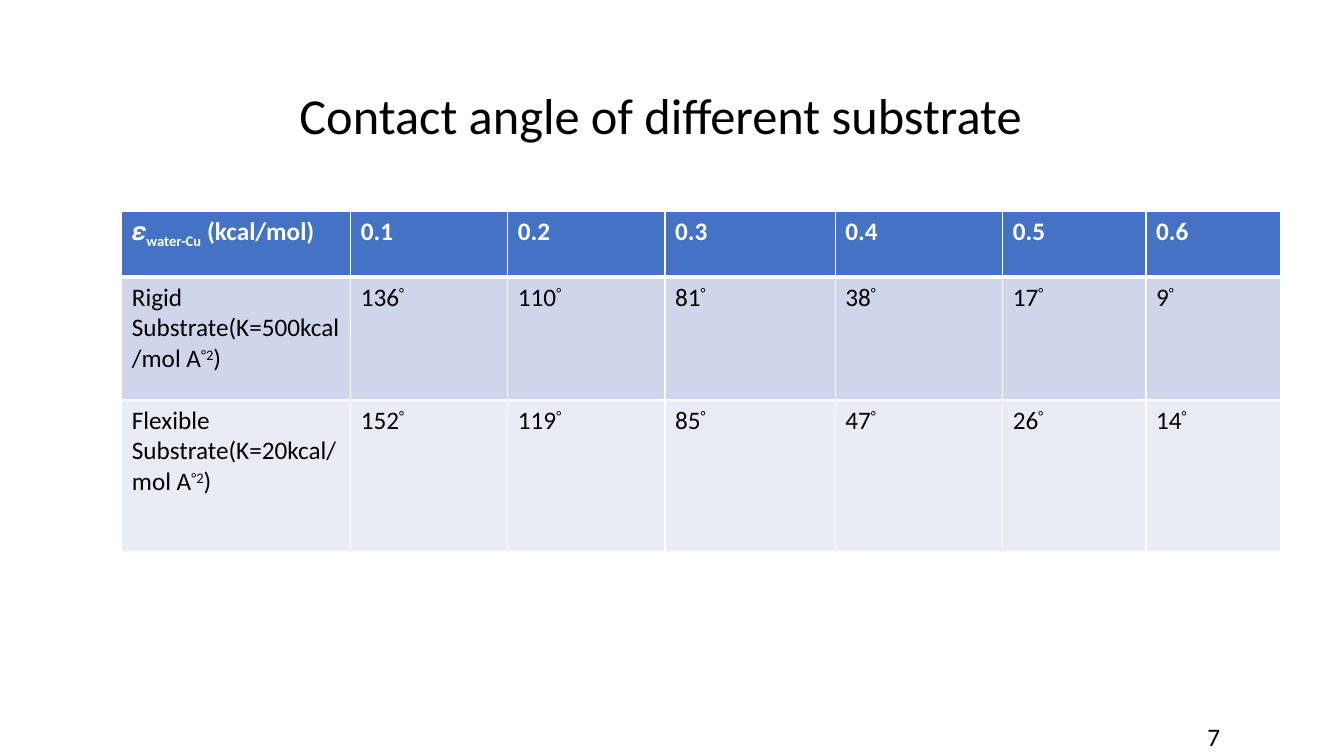
from lxml import etree
from pptx import Presentation
from pptx.dml.color import RGBColor
from pptx.enum.text import MSO_ANCHOR, MSO_AUTO_SIZE, PP_ALIGN
from pptx.oxml.ns import qn
from pptx.util import Cm, Pt

LEFT, TOP, NO_FIT = PP_ALIGN.LEFT, MSO_ANCHOR.TOP, MSO_AUTO_SIZE.NONE
BLACK, WHITE, HEADER_BLUE = "000000", "FFFFFF", "4472C4"
BAND_FILLS = ["CFD5EA", "E9EBF5"]
SUPERSCRIPT, SUBSCRIPT = 30, -25

ENERGIES = ["0.1", "0.2", "0.3", "0.4", "0.5", "0.6"]
SUBSTRATES = [
    ("Rigid Substrate(K=500kcal/mol A", [136, 110, 81, 38, 17, 9]),
    ("Flexible Substrate(K=20kcal/mol A", [152, 119, 85, 47, 26, 14]),
]
COLUMN_WIDTHS = [5.77, 3.96, 3.96, 4.29, 4.22, 3.61, 3.4]
ROW_HEIGHTS = [1.65, 3.1, 3.81]


def rgb(value):
    return RGBColor.from_string(value)


class SlideBuilder:
    font_name = "Calibri"

    def __init__(self, slide):
        self.slide = slide

    def style(self, run, size=18, color=BLACK, bold=False):
        run.font.name = self.font_name
        run.font.size = Pt(size)
        run.font.bold = bold
        run.font.color.rgb = rgb(color)

    def place_text(self, shape, text, left, top, width, height, size):
        """Position a title or text box and fill it with one styled line."""
        shape.left, shape.top = Cm(left), Cm(top)
        shape.width, shape.height = Cm(width), Cm(height)
        frame = shape.text_frame
        frame.text = text
        frame.auto_size = NO_FIT
        frame.word_wrap = True
        frame.vertical_anchor = TOP
        frame.paragraphs[0].alignment = LEFT
        self.style(frame.paragraphs[0].runs[0], size)

    def title(self, text, *box, size=36):
        self.place_text(self.slide.shapes.title, text, *box, size)

    def text(self, text, *box, size=18):
        label = self.slide.shapes.add_textbox(0, 0, 0, 0)
        self.place_text(label, text, *box, size)

    def borders(self, cell, top, bottom):
        """Draw white cell borders, 1 pt at the sides."""
        properties = cell._tc.get_or_add_tcPr()
        for side, points in (("L", 1), ("R", 1), ("T", top), ("B", bottom)):
            line = etree.SubElement(properties, qn(f"a:ln{side}"), w=str(Pt(points)))
            fill = etree.SubElement(line, qn("a:solidFill"))
            etree.SubElement(fill, qn("a:srgbClr"), val=WHITE)

    def cell(self, cell, parts, fill, color, bold):
        """Fill a cell with (text, baseline percent) parts."""
        cell.fill.solid()
        cell.fill.fore_color.rgb = rgb(fill)
        paragraph = cell.text_frame.paragraphs[0]
        for text, baseline in parts:
            run = paragraph.add_run()
            run.text = text
            self.style(run, color=color, bold=bold)
            if baseline:
                run._r.get_or_add_rPr().set("baseline", str(baseline * 1000))

    def table(self, rows, left, top):
        """Build a table with a header row and banded body rows."""
        table = self.slide.shapes.add_table(
            len(rows), len(rows[0]), Cm(left), Cm(top),
            Cm(sum(COLUMN_WIDTHS)), Cm(sum(ROW_HEIGHTS))).table
        for column, width in zip(table.columns, COLUMN_WIDTHS):
            column.width = Cm(width)
        for index, (row, height) in enumerate(zip(table.rows, ROW_HEIGHTS)):
            row.height = Cm(height)
            header = index == 0
            fill = HEADER_BLUE if header else BAND_FILLS[(index - 1) % 2]
            for cell, parts in zip(row.cells, rows[index]):
                self.borders(cell, 3 if index == 1 else 1, 3 if header else 1)
                self.cell(cell, parts, fill, WHITE if header else BLACK, header)


def contact_angle_rows():
    header = [[("𝜺", 0), ("water-Cu", SUBSCRIPT), (" (kcal/mol)", 0)]]
    rows = [header + [[(energy, 0)] for energy in ENERGIES]]
    for substrate, angles in SUBSTRATES:
        label = [(substrate, 0), ("°2", SUPERSCRIPT), (")", 0)]
        rows.append([label] + [[(str(angle), 0), ("°", SUPERSCRIPT)] for angle in angles])
    return rows


def main():
    presentation = Presentation()
    presentation.slide_width, presentation.slide_height = Cm(33.87), Cm(19.05)
    title_only = presentation.slide_layouts[5]
    builder = SlideBuilder(presentation.slides.add_slide(title_only))
    builder.title("Contact angle of different substrate", 7.29, 1.98, 18.9, 1.8)
    builder.table(contact_angle_rows(), 3.07, 5.33)
    builder.text("7", 30.18, 18.06, 0.84, 1.02)
    presentation.save("out.pptx")


if __name__ == "__main__":
    main()
